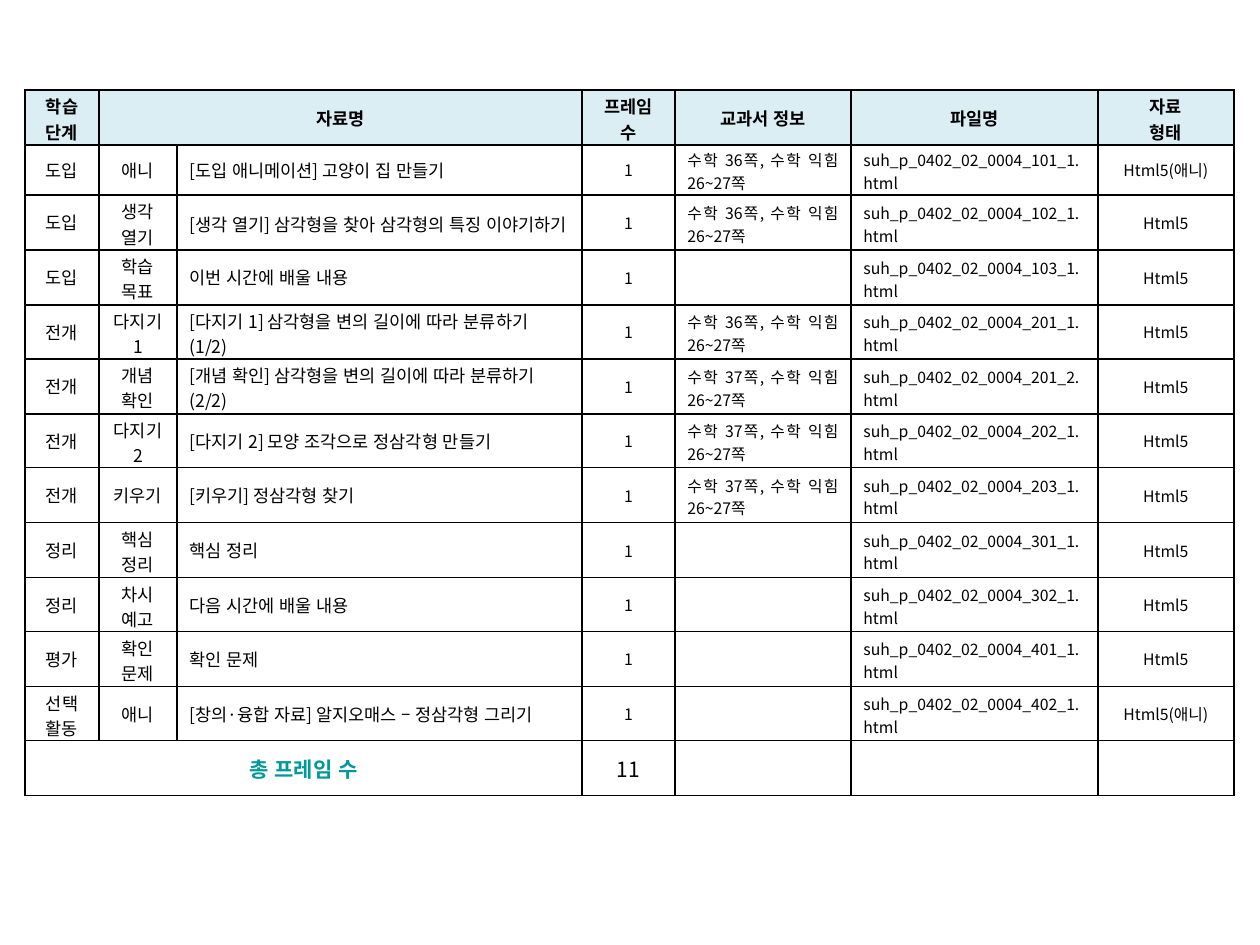
from dataclasses import dataclass

from lxml import etree
from pptx import Presentation
from pptx import util as u
from pptx.dml.color import RGBColor
from pptx.enum import lang, text
from pptx.oxml.ns import qn

PX = 914400 // 126
CENTER, LEFT, JUSTIFY = text.PP_ALIGN.CENTER, text.PP_ALIGN.LEFT, text.PP_ALIGN.JUSTIFY


@dataclass(frozen=True)
class Theme:
    font: str = "Noto Sans CJK KR"
    ink: str = "000000"
    total: str = "009999"
    header_fill: str = "DBEEF4"
    small: int = 9
    body: int = 10
    large: int = 12
    border: int = 1


THEME = Theme()
TABLE_LEFT, TABLE_TOP = 25, 90
COLUMN_WIDTHS = [74, 78, 405, 93, 176, 247, 136]
ROW_EDGES = [0, 55, 105] + [160 + round(54.6 * step) for step in range(11)]
ALIGNMENTS = [CENTER, CENTER, LEFT, CENTER, JUSTIFY, JUSTIFY, CENTER]
SIZES = [THEME.body] * 3 + [THEME.small] * 4
# Characters that fit on one line of each column
LINE_LENGTHS = [3, 3, 27, 4, 10, 20, 20]
TIGHT_TOP = 3

HEADERS = ["학습 단계", "자료명", "", "프레임 수", "교과서 정보", "파일명", "자료\n형태"]
# Stage, activity, title, textbook page, file number, format
LESSONS = [
    ("도입", "애니", "[도입 애니메이션] 고양이 집 만들기", 36, "101_1", "Html5(애니)"),
    ("도입", "생각 열기", "[생각 열기] 삼각형을 찾아 삼각형의 특징 이야기하기", 36, "102_1", "Html5"),
    ("도입", "학습 목표", "이번 시간에 배울 내용", None, "103_1", "Html5"),
    ("전개", "다지기 1", "[다지기 1] 삼각형을 변의 길이에 따라 분류하기 (1/2)", 36, "201_1", "Html5"),
    ("전개", "개념\n확인", "[개념 확인] 삼각형을 변의 길이에 따라 분류하기 (2/2)", 37, "201_2", "Html5"),
    ("전개", "다지기 2", "[다지기 2] 모양 조각으로 정삼각형 만들기", 37, "202_1", "Html5"),
    ("전개", "키우기", "[키우기] 정삼각형 찾기", 37, "203_1", "Html5"),
    ("정리", "핵심 정리", "핵심 정리", None, "301_1", "Html5"),
    ("정리", "차시 예고", "다음 시간에 배울 내용", None, "302_1", "Html5"),
    ("평가", "확인 문제", "확인 문제", None, "401_1", "Html5"),
    ("선택 활동", "애니", "[창의·융합 자료] 알지오매스 – 정삼각형 그리기", None, "402_1", "Html5(애니)"),
]


def set_borders(cell):
    properties = cell._tc.get_or_add_tcPr()
    for position, side in enumerate(("a:lnL", "a:lnR", "a:lnT", "a:lnB")):
        line = etree.Element(qn(side), w=str(u.Pt(THEME.border)))
        fill = etree.SubElement(line, qn("a:solidFill"))
        etree.SubElement(fill, qn("a:srgbClr"), val=THEME.ink)
        properties.insert(position, line)


def style_cell(cell, fill=None):
    cell.vertical_anchor = text.MSO_ANCHOR.MIDDLE
    if fill:
        cell.fill.solid()
        cell.fill.fore_color.rgb = RGBColor.from_string(fill)
    else:
        cell.fill.background()
    set_borders(cell)


def tighten_if_wrapped(cell, content, column):
    """Trim the margins of a two-line cell so that its row keeps its height."""
    if "\n" in content or len(content) > LINE_LENGTHS[column]:
        cell.margin_top, cell.margin_bottom = TIGHT_TOP * PX, 0


def write(cell, content, size, alignment=CENTER, color=THEME.ink, bold=False):
    """Write one paragraph for each line of content."""
    frame = cell.text_frame
    for index, line in enumerate(content.split("\n")):
        paragraph = frame.add_paragraph() if index else frame.paragraphs[0]
        paragraph.alignment = alignment
        if line:
            run = paragraph.add_run()
            run.text = line
            run.font.name = THEME.font
            run.font.size = u.Pt(size)
            run.font.bold = bold
            run.font.language_id = lang.MSO_LANGUAGE_ID.KOREAN
            run.font.color.rgb = RGBColor.from_string(color)
            east_asian = etree.Element(qn("a:ea"), typeface=THEME.font)
            run._r.rPr.find(qn("a:latin")).addnext(east_asian)


def add_lesson_table(slide):
    row_count = len(LESSONS) + 2
    frame = slide.shapes.add_table(
        row_count, len(COLUMN_WIDTHS), TABLE_LEFT * PX, TABLE_TOP * PX,
        sum(COLUMN_WIDTHS) * PX, ROW_EDGES[-1] * PX)
    table = frame.table
    table.first_row = table.horz_banding = False
    for column, width in zip(table.columns, COLUMN_WIDTHS):
        column.width = width * PX
    for row, top, bottom in zip(table.rows, ROW_EDGES, ROW_EDGES[1:]):
        row.height = (bottom - top) * PX
    for index, row in enumerate(table.rows):
        for cell in row.cells:
            style_cell(cell, None if index else THEME.header_fill)
    return table


def fill_header(table):
    table.cell(0, 1).merge(table.cell(0, 2))
    for column, header in enumerate(HEADERS):
        if header:
            cell = table.cell(0, column)
            # The merged title heading always fits on one line
            if column != 1 and header not in ("교과서 정보", "파일명"):
                tighten_if_wrapped(cell, header, column)
            write(cell, header, THEME.body, bold=True)


def fill_lessons(table):
    for row, (stage, activity, title, page, number, kind) in enumerate(LESSONS, 1):
        textbook = f"수학 {page}쪽, 수학 익힘 26~27쪽" if page else ""
        file_name = f"suh_p_0402_02_0004_{number}.html"
        values = (stage, activity, title, "1", textbook, file_name, kind)
        for column, value in enumerate(values):
            cell = table.cell(row, column)
            tighten_if_wrapped(cell, value, column)
            write(cell, value, SIZES[column], ALIGNMENTS[column])


def fill_total(table):
    last = len(LESSONS) + 1
    table.cell(last, 0).merge(table.cell(last, 2))
    write(table.cell(last, 0), "총 프레임 수", THEME.large, color=THEME.total, bold=True)
    write(table.cell(last, 3), str(len(LESSONS)), THEME.large)


def main():
    presentation = Presentation()
    presentation.slide_width, presentation.slide_height = 1260 * PX, 945 * PX
    slide = presentation.slides.add_slide(presentation.slide_layouts[6])
    table = add_lesson_table(slide)
    fill_header(table)
    fill_lessons(table)
    fill_total(table)
    presentation.save("out.pptx")


if __name__ == "__main__":
    main()
